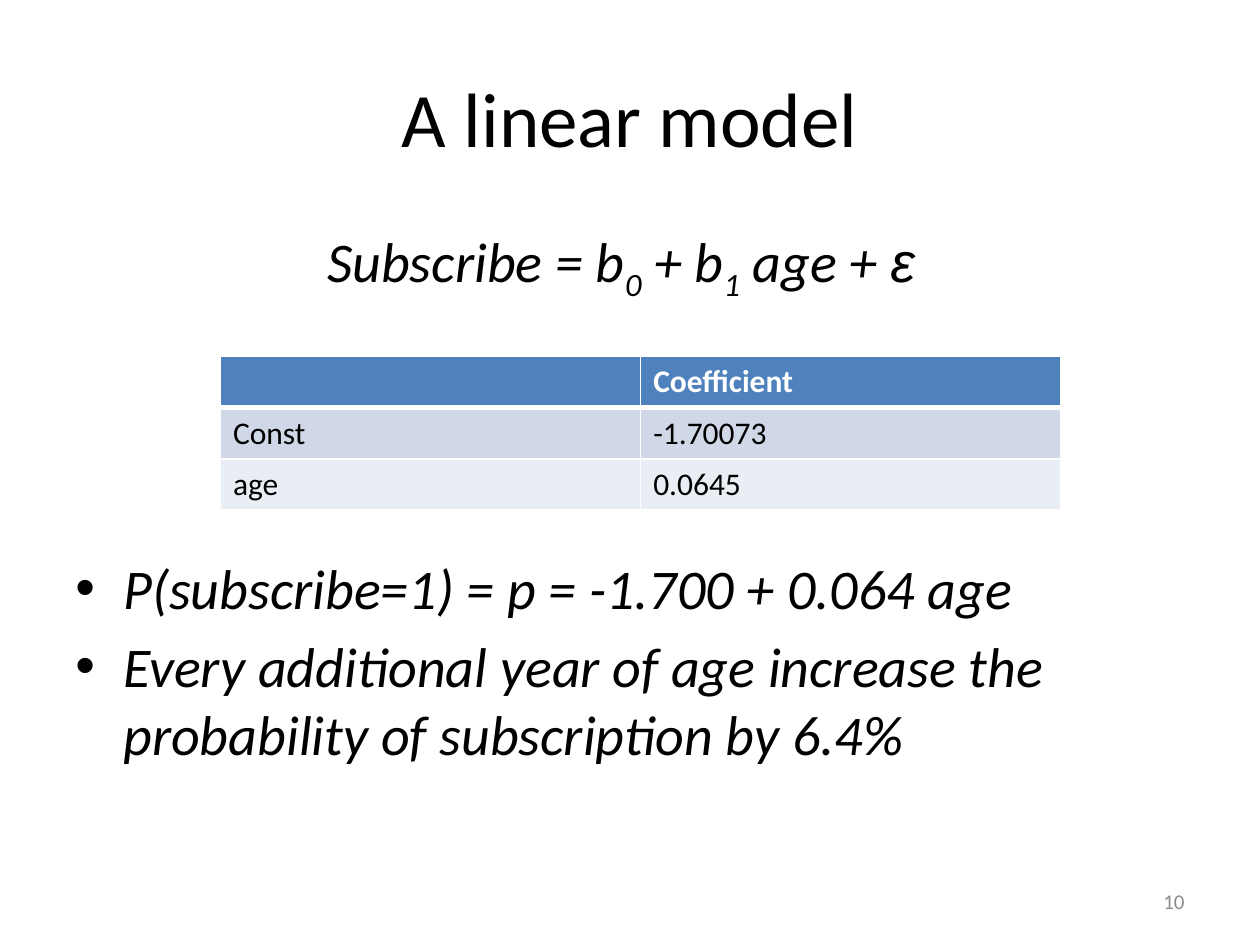
import pptx
import pptx.dml.color
import pptx.enum.text
import pptx.oxml
import pptx.oxml.ns
import pptx.util
from pptx.util import Inches

RGBColor = pptx.dml.color.RGBColor
PP_ALIGN = pptx.enum.text.PP_ALIGN
MSO_ANCHOR = pptx.enum.text.MSO_ANCHOR
Pt = pptx.util.Pt

BLACK = RGBColor(0x00, 0x00, 0x00)
WHITE = RGBColor(0xFF, 0xFF, 0xFF)
GREY = RGBColor(0x8C, 0x8C, 0x8C)
HEADER_BLUE = RGBColor(0x4F, 0x81, 0xBD)
BAND_DARK = RGBColor(0xD0, 0xD8, 0xE8)
BAND_LIGHT = RGBColor(0xE9, 0xED, 0xF4)


def set_font(paragraph, size, color, bold=False, italic=False):
    font = paragraph.font
    font.name, font.size = "Calibri", Pt(size)
    font.bold, font.italic = bold, italic
    font.color.rgb = color


def add_border(cell, side, width):
    """Draw a white line on one side (L, R, T or B) of a cell; call before filling it."""
    line = pptx.oxml.parse_xml(
        f'<a:ln{side} {pptx.oxml.ns.nsdecls("a")} w="{Pt(width)}">'
        f'<a:solidFill><a:srgbClr val="{WHITE}"/></a:solidFill></a:ln{side}>'
    )
    cell._tc.get_or_add_tcPr().append(line)


presentation = pptx.Presentation()
presentation.slide_width = Inches(10)
presentation.slide_height = Inches(7.5)
slide = presentation.slides.add_slide(presentation.slide_layouts[5])

title = slide.shapes.title
title.left, title.top = Inches(0.5), Inches(0.3)
title.width, title.height = Inches(9), Inches(1.25)
title.text_frame.text = "A linear model"
title.text_frame.vertical_anchor = MSO_ANCHOR.MIDDLE
title.text_frame.paragraphs[0].alignment = PP_ALIGN.CENTER
set_font(title.text_frame.paragraphs[0], 44, BLACK)

# Model equation, then the conclusions below the space for the table
body = slide.shapes.add_textbox(Inches(0.5), Inches(1.75), Inches(9), Inches(4.95)).text_frame
body.word_wrap = True
equation = body.paragraphs[0]
equation.space_before = Pt(6.4)
equation._p.get_or_add_pPr().set("marL", str(Inches(2)))
set_font(equation, 32, BLACK, italic=True)
for text, is_subscript in [("Subscribe = b", False), ("0", True), (" + b", False),
                           ("1", True), (" age + ", False), ("ε", False)]:
    run = equation.add_run()
    run.text = text
    if is_subscript:
        run._r.get_or_add_rPr().set("baseline", "-25000")
equation.runs[-1].font.name = "Arial"

conclusions = [
    ("P(subscribe=1) = p = -1.700 + 0.064 age", 143),
    ("Every additional year of age increase the probability of subscription by 6.4%", 6.4),
]
for text, gap in conclusions:
    conclusion = body.add_paragraph()
    conclusion.text = text
    conclusion.space_before = Pt(gap)
    set_font(conclusion, 32, BLACK, italic=True)
    properties = conclusion._p.get_or_add_pPr()
    properties.set("marL", str(Inches(0.38)))
    properties.set("indent", str(-Inches(0.38)))
    for bullet in ('buFont {} typeface="Arial"', 'buChar {} char="•"'):
        element = pptx.oxml.parse_xml(f"<a:{bullet.format(pptx.oxml.ns.nsdecls('a'))}/>")
        properties.insert_element_before(element, "a:tabLst", "a:defRPr", "a:extLst")

page_number = slide.shapes.add_textbox(
    Inches(7.17), Inches(6.95), Inches(2.33), Inches(0.4)).text_frame
page_number.word_wrap = True
page_number.vertical_anchor = MSO_ANCHOR.MIDDLE
page_number.text = "10"
page_number.paragraphs[0].alignment = PP_ALIGN.RIGHT
set_font(page_number.paragraphs[0], 12, GREY)

coefficients = [("", "Coefficient"), ("Const", "-1.70073"), ("age", "0.0645")]
row_fills = [HEADER_BLUE, BAND_DARK, BAND_LIGHT]
table = slide.shapes.add_table(
    3, 2, Inches(1.75), Inches(2.83), Inches(6.67), Inches(1.22)).table
for row, (values, fill) in enumerate(zip(coefficients, row_fills)):
    is_header = row == 0
    for column, value in enumerate(values):
        cell = table.cell(row, column)
        cell.text = value
        set_font(cell.text_frame.paragraphs[0], 18, WHITE if is_header else BLACK, bold=is_header)
        for side in "LRTB":
            under_header = (row, side) in [(0, "B"), (1, "T")]
            add_border(cell, side, 3 if under_header else 1)
        cell.fill.solid()
        cell.fill.fore_color.rgb = fill

presentation.save("out.pptx")
